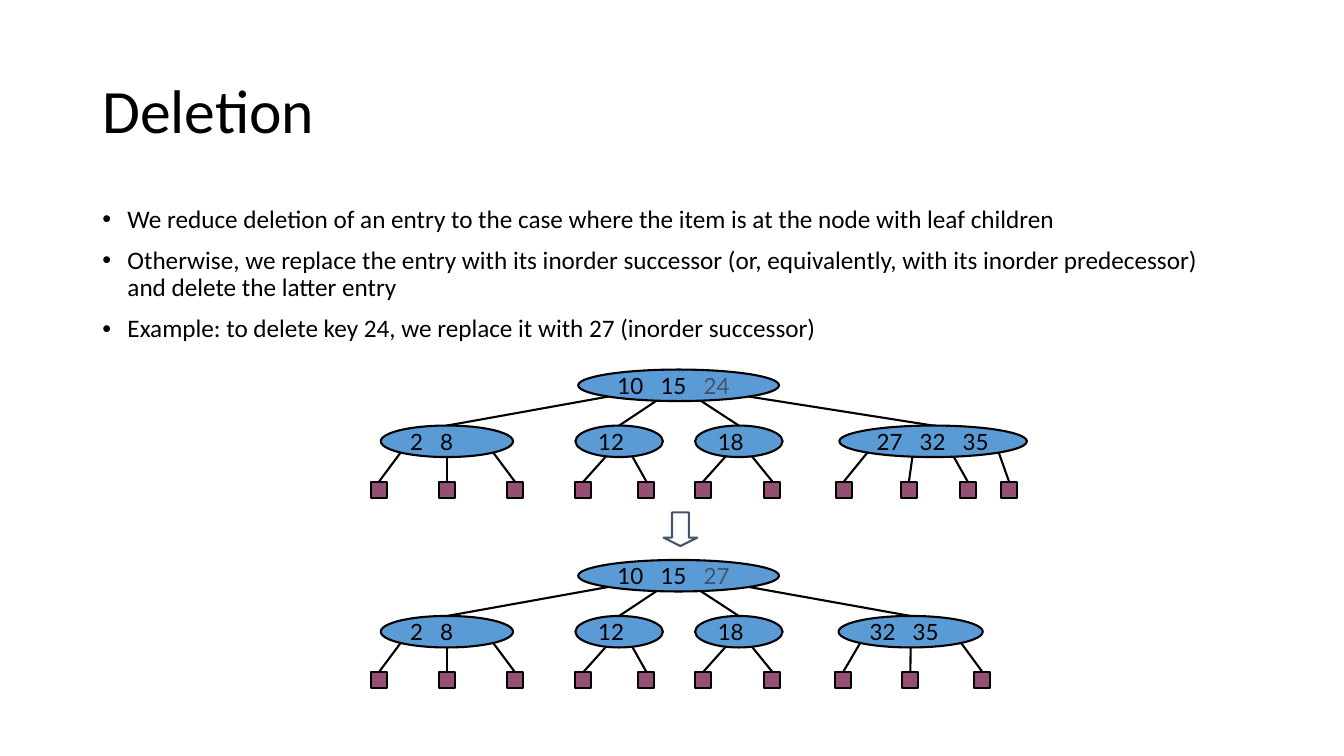
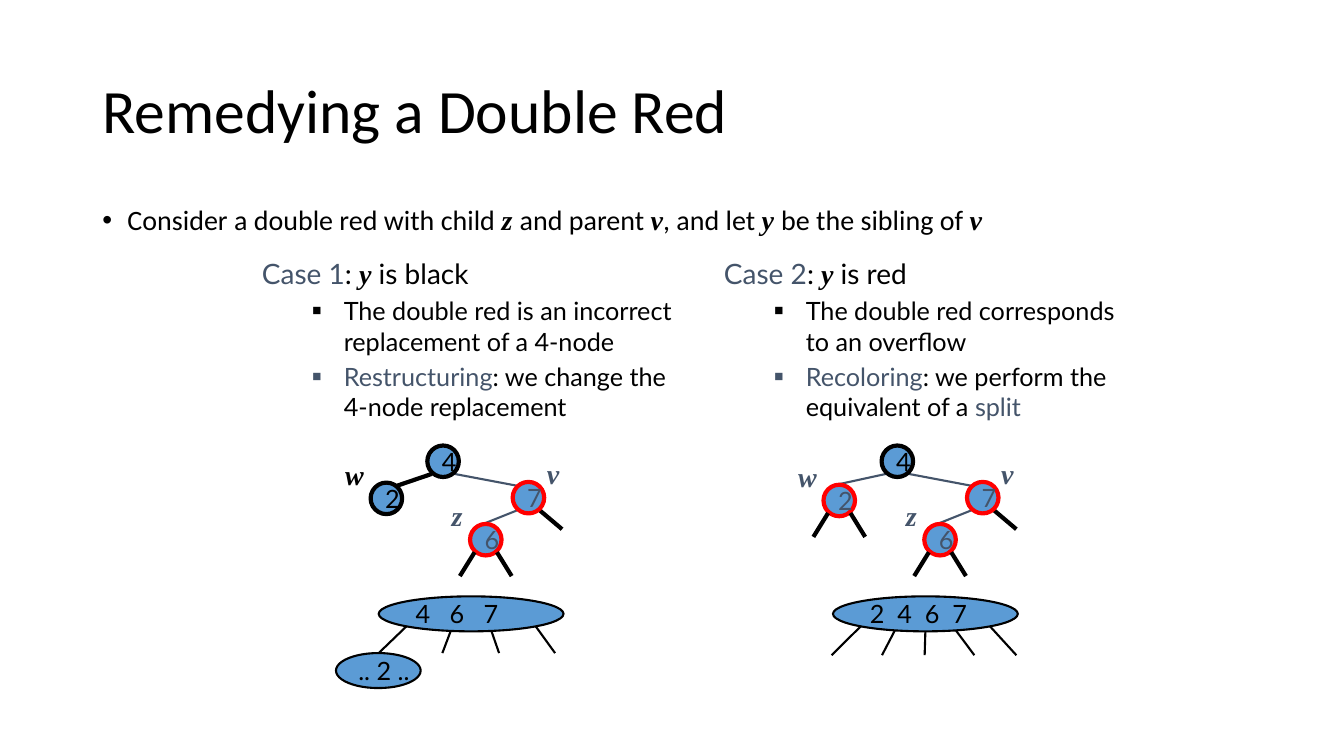
import math

import pptx
import pptx.dml.color
import pptx.enum.shapes
import pptx.enum.text
import pptx.oxml.ns
import pptx.util
from lxml import etree

Pt = pptx.util.Pt
KIND = pptx.enum.shapes.MSO_SHAPE
ANCHOR = pptx.enum.text.MSO_ANCHOR
ALIGN = pptx.enum.text.PP_ALIGN

HUES = {"ink": "000000", "slate": "44546A", "node": "5B9BD5", "leaf": "954F72", "red": "FF0000"}
BODY, TREE, MATH = "Calibri", "Lato", "Times New Roman"

# Where edges leave a node, as fractions of its half width
SPOKES = {
    2: (-0.3, 0.3),
    3: (-0.7, 0, 0.7),
    4: (-0.7, -0.22, 0.22, 0.7),
    5: (-0.7, -0.33, 0, 0.33, 0.7),
}
NODE_H, LEAF, STEP = 22.5, 11.5, 40
RING = 22.5


def hue(name):
    return pptx.dml.color.RGBColor.from_string(HUES[name])


# Text
def write(para, parts, size, font, color="ink"):
    """Parts are a string or (text, style) pairs; style is "", "math" or a colour."""
    if isinstance(parts, str):
        parts = [(parts, "")]
    for text, style in parts:
        run = para.add_run()
        run.text = text
        run.font.size = Pt(size)
        run.font.name = MATH if style == "math" else font
        run.font.bold = run.font.italic = style == "math"
        run.font.color.rgb = hue(style if style in HUES else color)


def bullet(para, mark, left, hang, scale=100):
    props = para._p.get_or_add_pPr()
    props.set("marL", str(Pt(left)))
    props.set("indent", str(-Pt(hang)))
    for tag, key, value in (
        ("a:buSzPct", "val", str(scale * 1000)),
        ("a:buFont", "typeface", "Arial"),
        ("a:buChar", "char", mark),
    ):
        etree.SubElement(props, pptx.oxml.ns.qn(tag)).set(key, value)


def box(slide, x, y, w, h):
    frame = slide.shapes.add_textbox(Pt(x), Pt(y), Pt(w), Pt(h)).text_frame
    frame.word_wrap = True
    return frame


def paras(frame, items):
    for i, item in enumerate(items):
        yield i, frame.paragraphs[0] if i == 0 else frame.add_paragraph(), item


def page(deck, title, points, size):
    slide = deck.slides.add_slide(deck.slide_layouts[6])
    head = box(slide, 66, 29, 828, 104)
    head.vertical_anchor = ANCHOR.MIDDLE
    head.paragraphs[0].line_spacing = 0.9
    write(head.paragraphs[0], title, 44, BODY)
    for i, para, parts in paras(box(slide, 66, 144, 828, 343), points):
        bullet(para, "•", 18, 18)
        para.line_spacing = 0.9
        if i:
            para.space_before = Pt(10)
        write(para, parts, size, BODY)
    return slide


def case(slide, x, w, head, points):
    for i, para, parts in paras(box(slide, x, 180, w, 132), [head] + points):
        if i:
            bullet(para, "■", 58.5, 22.5, 60)
            para.space_before = Pt(3.6)
        write(para, parts, 18 if i else 20, TREE)


# Shapes
def shape(slide, kind, x, y, w, h, fill=None, line="ink", width=1.5):
    item = slide.shapes.add_shape(kind, Pt(x), Pt(y), Pt(w), Pt(h))
    item.shadow.inherit = False
    if fill:
        item.fill.solid()
        item.fill.fore_color.rgb = hue(fill)
    else:
        item.fill.background()
    item.line.color.rgb = hue(line)
    item.line.width = Pt(width)
    return item


def edge(slide, start, end, color="ink", width=1.5):
    link = slide.shapes.add_connector(
        pptx.enum.shapes.MSO_CONNECTOR.STRAIGHT, *(Pt(v) for v in (*start, *end)))
    link.line.color.rgb = hue(color)
    link.line.width = Pt(width)
    etree.SubElement(link._element.spPr, pptx.oxml.ns.qn("a:effectLst"))


def node(slide, parts, x, y, w, h=NODE_H, size=16, color="ink", line="ink", width=1.5):
    item = shape(slide, KIND.OVAL, x, y, w, h, "node", line, width)
    frame = item.text_frame
    frame.word_wrap = False
    frame.vertical_anchor = ANCHOR.MIDDLE
    frame.paragraphs[0].alignment = ALIGN.LEFT
    write(frame.paragraphs[0], parts, size, TREE, color)
    return x, y, w, h


def fan(slide, oval, ends):
    """Draw edges from the lower rim of an oval to each end point."""
    x, y, w, h = oval
    for part, end in zip(SPOKES[len(ends)], ends):
        rim = (x + w / 2 * (1 + part), y + h / 2 * (1 + math.sqrt(1 - part * part)))
        edge(slide, rim, end)


# Multi-way search tree: root, children and leaf squares
def tree(slide, y, root, kids):
    top = node(slide, root, 413, y, 143.5)
    fan(slide, top, [(x + w / 2, y + STEP) for _, x, w, _ in kids])
    for text, x, w, leaves in kids:
        kid = node(slide, text, x, y + STEP, w)
        low = y + 2 * STEP
        fan(slide, kid, [(left + LEAF / 2, low) for left in leaves])
        for left in leaves:
            shape(slide, KIND.RECTANGLE, left, low, LEAF, LEAF, "leaf")


# Red-black tree, with circles placed by their centres
def ring(slide, text, spot, red):
    x, y = spot
    node(slide, text, x - RING / 2, y - RING / 2, RING, RING, 18,
         "slate" if red else "ink", "red" if red else "ink", 3)


def label(slide, text, spot, dx, color="slate"):
    frame = box(slide, spot[0] + dx, spot[1] - 33, 30, 31)
    write(frame.paragraphs[0], [(text, "math")], 20, MATH)
    frame.paragraphs[0].runs[0].font.color.rgb = hue(color)


def stubs(slide, spot):
    x, y = spot
    for side in (-1, 1):
        edge(slide, (x + 8 * side, y + 9), (x + 18.5 * side, y + 26), width=3)


def redblack(slide, x, red):
    four, seven, six = (x + 46.5, 329.5), (x + 107.5, 355.5), (x + 77, 385.5)
    two = (x + 5, 357.5) if red else (x + 6, 356)
    tint = "slate" if red else "ink"
    end = (two[0] - 1, two[1] - 11.5) if red else (two[0] + 7.5, two[1] - 9)
    edge(slide, (four[0] - 8, four[1] + 9), end, tint, 1.5 if red else 3)
    edge(slide, (four[0] + 8, four[1] + 9), (seven[0] - 8, seven[1] - 8.5), "slate")
    edge(slide, (seven[0] - 8, seven[1] + 9), (six[0], six[1] - 12), "slate")
    edge(slide, (seven[0] + 8, seven[1] + 9), (seven[0] + 24, seven[1] + 22.5), width=3)
    for text, spot, hot in (("4", four, False), ("2", two, red), ("7", seven, True), ("6", six, True)):
        ring(slide, text, spot, hot)
    stubs(slide, six)
    if red:
        stubs(slide, two)
    label(slide, "w", two, -36.5, tint)
    label(slide, "v", seven, 6)
    label(slide, "z", six, -31.5)


def block(slide, text, x, ends, y):
    fan(slide, node(slide, text, x, 426, 132, 25, 18), [(x + dx, y) for dx in ends])


def deletion(deck):
    slide = page(deck, "Deletion", [
        "We reduce deletion of an entry to the case where the item is at the node with leaf children",
        "Otherwise, we replace the entry with its inorder successor (or, equivalently, "
        "with its inorder predecessor) and delete the latter entry",
        "Example: to delete key 24, we replace it with 27 (inorder successor)",
    ], 18)
    kids = [
        ("2   8", 272, 94.5, (265, 313.5, 362)),
        ("12", 411, 62.5, (411, 456)),
        ("18", 496.5, 62.5, (496.5, 546)),
    ]
    full = ("27   32   35", 599.5, 134, (597, 643.5, 685.5, 715))
    less = ("32   35", 599, 103, (596.5, 644.5, 696))
    for y, key, last in ((264, "24", full), (400, "27", less)):
        tree(slide, y, [("10   15   ", ""), (key, "slate")], kids + [last])
    shape(slide, KIND.DOWN_ARROW, 474, 366, 24, 24, line="slate").adjustments[1] = 0.25


def remedy(deck):
    slide = page(deck, "Remedying a Double Red", [[
        ("Consider a double red with child ", ""), ("z ", "math"), ("and parent ", ""),
        ("v", "math"), (", and let ", ""), ("y ", "math"),
        ("be the sibling of ", ""), ("v", "math"),
    ]], 20)
    case(slide, 180, 324,
         [("Case 1", "slate"), (": ", ""), ("y ", "math"), ("is black", "")],
         ["The double red is an incorrect replacement of a 4-node",
          [("Restructuring", "slate"), (": we change the 4-node replacement", "")]])
    case(slide, 510, 306,
         [("Case 2", "slate"), (": ", ""), ("y ", "math"), ("is red", "")],
         ["The double red corresponds to an overflow",
          [("Recoloring", "slate"), (": we perform the equivalent of a ", ""), ("split", "slate")]])
    left, right = 270, 594.5
    redblack(slide, left, False)
    redblack(slide, right, True)
    block(slide, "4   6   7", left + 0.5, (0, 45.5, 86, 126), 466.5)
    node(slide, ".. 2 ..", left - 30, 466.5, 60.5, 25, 18)
    block(slide, "2  4  6  7", right + 0.5, (-1, 35, 65.5, 101, 131), 468)


def main():
    deck = pptx.Presentation()
    deck.slide_width, deck.slide_height = Pt(960), Pt(540)
    deletion(deck)
    remedy(deck)
    deck.save("out.pptx")


if __name__ == "__main__":
    main()
